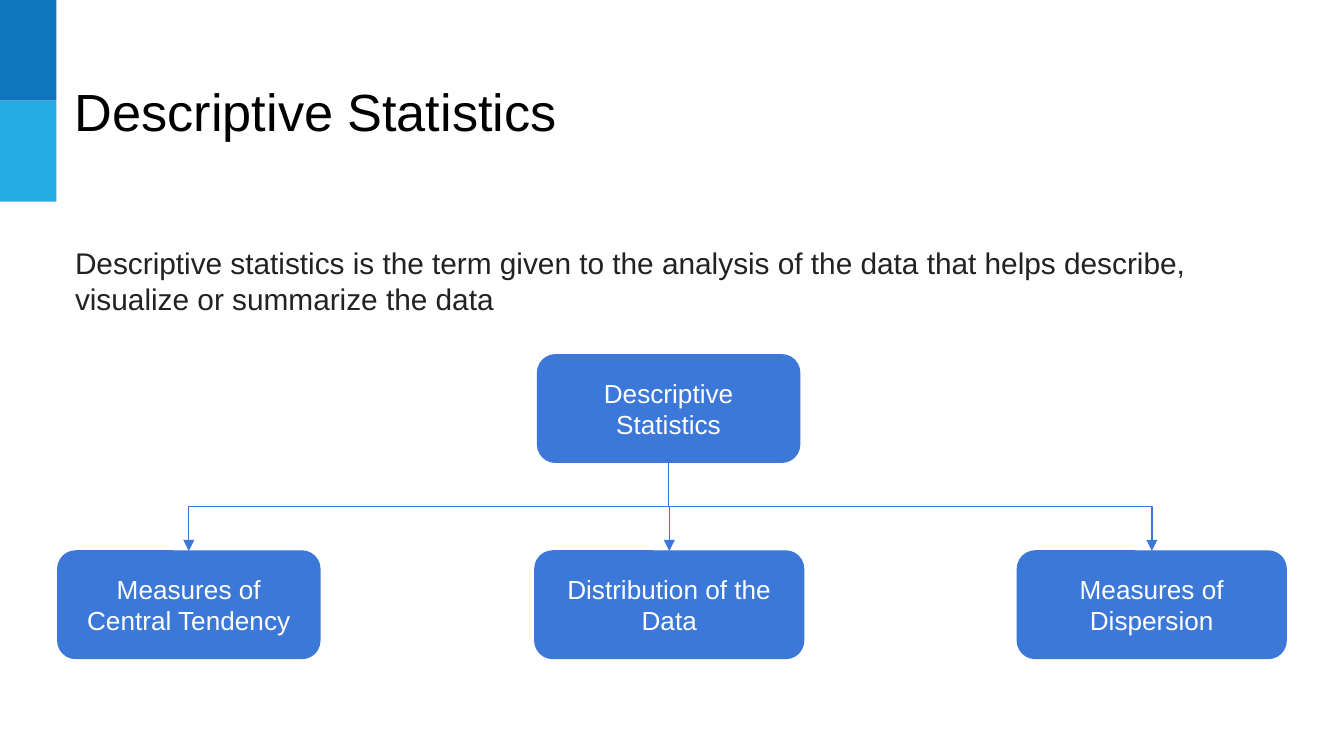
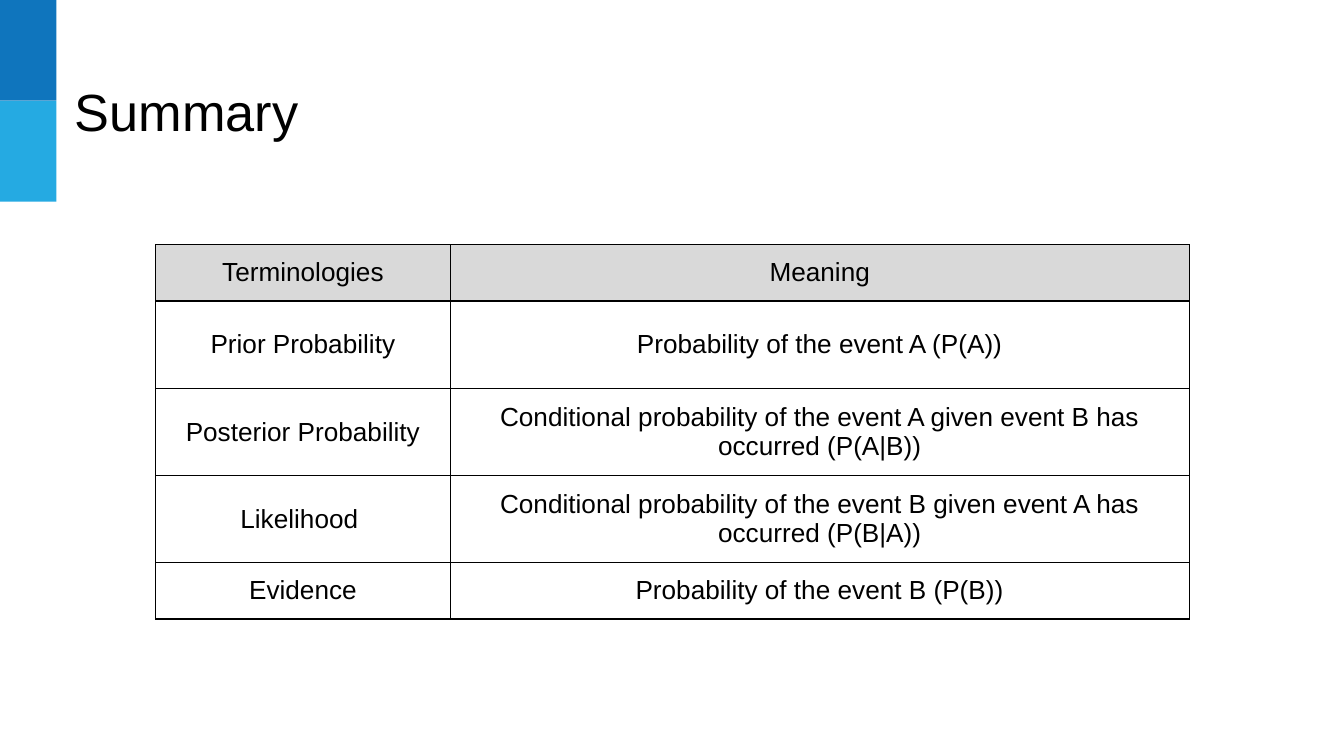
from lxml import etree
from pptx import Presentation
from pptx.dml.color import RGBColor
from pptx.enum.shapes import MSO_CONNECTOR as Connector, MSO_SHAPE as Shape
from pptx.enum.text import MSO_ANCHOR as Anchor, PP_ALIGN as Align
from pptx.oxml.ns import qn
from pptx.util import Inches, Pt

FONT = "Arial"
BLACK = RGBColor(0x00, 0x00, 0x00)
WHITE = RGBColor(0xFF, 0xFF, 0xFF)
BODY_GRAY = RGBColor(0x22, 0x22, 0x22)
HEADER_GRAY = RGBColor(0xD9, 0xD9, 0xD9)
BOX_BLUE = RGBColor(0x3C, 0x78, 0xD8)
BANDS = [RGBColor(0x0F, 0x75, 0xBD), RGBColor(0x25, 0xAA, 0xE2)]
BAND_WIDTH, BAND_HEIGHT = 0.42, 0.75
MARGIN = 0.1
CELL_MARGIN = 0.09

DEFINITION = (
    "Descriptive statistics is the term given to the analysis of the data "
    "that helps describe, visualize or summarize the data"
)
BOX_HEIGHT = 0.8
ROOT_TOP, BRANCH_TOP = 2.64, 4.1
ROOT = ("Descriptive Statistics", 4, 1.95)
BRANCHES = [
    ("Measures of Central Tendency", 0.43, 1.95),
    ("Distribution of the Data", 3.98, 2),
    ("Measures of Dispersion", 7.57, 2),
]

TERMS = [
    ("Terminologies", "Meaning"),
    ("Prior Probability", "Probability of the event A (P(A))"),
    ("Posterior Probability",
     "Conditional probability of the event A given event B has occurred (P(A|B))"),
    ("Likelihood ",
     "Conditional probability of the event B given event A has occurred (P(B|A))"),
    ("Evidence", "Probability of the event B (P(B))"),
]
COLUMN_WIDTHS = [2.19, 5.5]
ROW_HEIGHTS = [0.42, 0.65, 0.65, 0.64, 0.42]


def write(frame, text, size, color, align=Align.LEFT):
    paragraph = frame.paragraphs[0]
    paragraph.text = text
    paragraph.alignment = align
    paragraph.font.name = FONT
    paragraph.font.size = Pt(size)
    paragraph.font.color.rgb = color


def set_margins(holder, vertical=MARGIN):
    holder.margin_left = holder.margin_right = Inches(MARGIN)
    holder.margin_top = holder.margin_bottom = Inches(vertical)


def write_wrapped(shape, *text_style):
    shape.text_frame.word_wrap = True
    set_margins(shape.text_frame)
    write(shape.text_frame, *text_style)


def add_text(slide, place, text, size, color):
    box = slide.shapes.add_textbox(*map(Inches, place))
    write_wrapped(box, text, size, color)


def add_filled(slide, kind, place, color):
    shape = slide.shapes.add_shape(kind, *map(Inches, place))
    shape.shadow.inherit = False
    shape.fill.solid()
    shape.fill.fore_color.rgb = color
    shape.line.fill.background()
    return shape


def add_titled_slide(presentation, title):
    slide = presentation.slides.add_slide(presentation.slide_layouts[6])
    for index, color in enumerate(BANDS):
        place = (0, index * BAND_HEIGHT, BAND_WIDTH, BAND_HEIGHT)
        add_filled(slide, Shape.RECTANGLE, place, color)
    add_text(slide, (0.46, 0.49, 7.37, 0.63), title, 28, BLACK)
    return slide


def add_box(slide, text, left, top, width):
    place = (left, top, width, BOX_HEIGHT)
    box = add_filled(slide, Shape.ROUNDED_RECTANGLE, place, BOX_BLUE)
    box.adjustments[0] = 1 / 6
    box.line.color.rgb = BOX_BLUE
    box.line.width = Pt(0.75)
    box.text_frame.vertical_anchor = Anchor.MIDDLE
    write_wrapped(box, text, 14, WHITE, Align.CENTER)


def add_branch_arrow(slide, start, end):
    (start_x, start_y), (end_x, end_y) = start, end
    drop, reach = end_y - start_y, abs(end_x - start_x)
    left = (start_x + end_x - drop) / 2
    top = (start_y + end_y - reach) / 2
    sides, turn = (left, left + drop), 90
    if end_x >= start_x:
        sides, turn = sides[::-1], 270
    corners = (sides[0], top, sides[1], top + reach)
    arrow = slide.shapes.add_connector(Connector.ELBOW, *map(Inches, corners))
    arrow.line.color.rgb = BOX_BLUE
    arrow.line.width = Pt(0.75)
    properties = arrow._element.spPr
    properties.find(qn("a:xfrm")).set("rot", str(turn * 60000))
    etree.SubElement(properties.find(qn("a:ln")), qn("a:tailEnd"), type="triangle")
    etree.SubElement(properties, qn("a:effectLst"))


def add_borders(cell):
    properties = cell._tc.get_or_add_tcPr()
    for side in ("lnL", "lnR", "lnT", "lnB"):
        line = etree.SubElement(properties, qn(f"a:{side}"), w=str(Pt(0.75)))
        fill = etree.SubElement(line, qn("a:solidFill"))
        etree.SubElement(fill, qn("a:srgbClr"), val=str(BLACK))


def build_statistics(presentation):
    slide = add_titled_slide(presentation, "Descriptive Statistics")
    add_text(slide, (0.46, 1.72, 9.18, 0.76), DEFINITION, 16, BODY_GRAY)
    text, left, width = ROOT
    add_box(slide, text, left, ROOT_TOP, width)
    start = (left + width / 2, ROOT_TOP + BOX_HEIGHT)
    for text, left, width in BRANCHES:
        add_box(slide, text, left, BRANCH_TOP, width)
        add_branch_arrow(slide, start, (left + width / 2, BRANCH_TOP))


def build_summary(presentation):
    slide = add_titled_slide(presentation, "Summary")
    place = (1.16, 1.82, sum(COLUMN_WIDTHS), sum(ROW_HEIGHTS))
    table = slide.shapes.add_table(
        len(TERMS), len(COLUMN_WIDTHS), *map(Inches, place)).table
    table.first_row = table.horz_banding = False
    for column, width in zip(table.columns, COLUMN_WIDTHS):
        column.width = Inches(width)
    for index, (row, height) in enumerate(zip(table.rows, ROW_HEIGHTS)):
        row.height = Inches(height)
        for cell, text in zip(row.cells, TERMS[index]):
            write(cell.text_frame, text, 14, BLACK, Align.CENTER)
            set_margins(cell, CELL_MARGIN)
            cell.vertical_anchor = Anchor.MIDDLE
            add_borders(cell)
            if index == 0:
                cell.fill.solid()
                cell.fill.fore_color.rgb = HEADER_GRAY
            else:
                cell.fill.background()


def main():
    presentation = Presentation()
    presentation.slide_width = Inches(10)
    presentation.slide_height = presentation.slide_width * 9 // 16
    build_statistics(presentation)
    build_summary(presentation)
    presentation.save("out.pptx")


if __name__ == "__main__":
    main()
